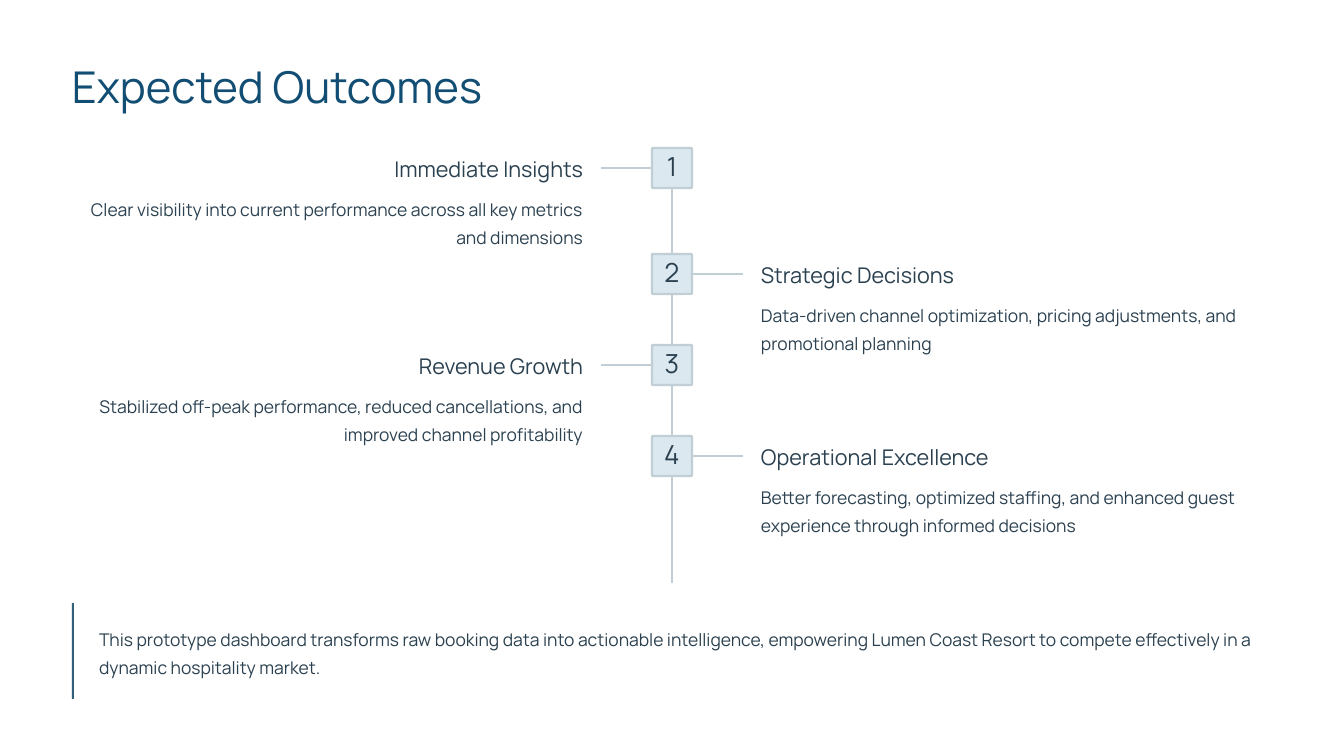
from lxml.etree import SubElement
from pptx import Presentation
from pptx.dml.color import RGBColor
from pptx.enum.shapes import MSO_CONNECTOR, MSO_SHAPE
from pptx.enum.text import MSO_ANCHOR, PP_ALIGN
from pptx.oxml.ns import qn
from pptx.util import Emu, Pt

PX_PER_INCH = 84
FONT = "Manrope"
INK, NAVY, RULE, TILE, ACCENT = "2B4150", "124E73", "C1CED6", "DBE8F0", "325F7B"
TILE_SIZE, BRANCH_LENGTH, TEXT_GAP = 40, 51, 18

OUTCOMES = [
    (148, "Immediate Insights",
     "Clear visibility into current performance across all key metrics and dimensions"),
    (254, "Strategic Decisions",
     "Data-driven channel optimization, pricing adjustments, and promotional planning"),
    (345, "Revenue Growth",
     "Stabilized off-peak performance, reduced cancellations, and improved channel profitability"),
    (436, "Operational Excellence",
     "Better forecasting, optimized staffing, and enhanced guest experience through informed decisions"),
]
SUMMARY = ("This prototype dashboard transforms raw booking data into actionable intelligence, "
           "empowering Lumen Coast Resort to compete effectively in a dynamic hospitality market.")


def px(length):
    return Emu(round(length * 914400 / PX_PER_INCH))


def colour(value):
    return RGBColor.from_string(value)


def write(holder, words, size, leading, ink=INK, align=PP_ALIGN.LEFT, anchor=MSO_ANCHOR.TOP):
    frame = holder.text_frame
    frame.margin_left = frame.margin_right = frame.margin_top = frame.margin_bottom = 0
    frame.word_wrap = True
    frame.vertical_anchor = anchor
    paragraph = frame.paragraphs[0]
    paragraph.text = words
    paragraph.alignment = align
    paragraph.line_spacing = Pt(leading)
    paragraph.font.name = FONT
    paragraph.font.size = Pt(size)
    paragraph.font.color.rgb = colour(ink)


def add_words(slide, box, words, size, leading, align=PP_ALIGN.LEFT):
    write(slide.shapes.add_textbox(*map(px, box)), words, size, leading, align=align)


def add_rule(slide, x1, y1, x2, y2):
    rule = slide.shapes.add_connector(MSO_CONNECTOR.STRAIGHT, px(x1), px(y1), px(x2), px(y2))
    rule.line.color.rgb = colour(RULE)
    rule.line.width = Pt(1.8)
    SubElement(rule._element.spPr, qn("a:effectLst"))


def add_tile(slide, left, top, number):
    tile = slide.shapes.add_shape(MSO_SHAPE.ROUNDED_RECTANGLE, px(left), px(top),
                                  px(TILE_SIZE), px(TILE_SIZE))
    tile.adjustments[0] = 0.02
    tile.shadow.inherit = False
    tile.fill.solid()
    tile.fill.fore_color.rgb = colour(TILE)
    tile.line.color.rgb = colour(RULE)
    tile.line.width = Pt(1.8)
    write(tile, str(number), 22.5, 22.5, align=PP_ALIGN.CENTER, anchor=MSO_ANCHOR.MIDDLE)
    tile.text_frame.margin_top = px(2)


def add_outcome(slide, left, width, top, number, heading, detail):
    centre = left + width / 2
    on_left = number % 2 == 1
    side = -1 if on_left else 1
    align = PP_ALIGN.RIGHT if on_left else PP_ALIGN.LEFT
    branch_start = centre + side * TILE_SIZE / 2
    branch_end = branch_start + side * BRANCH_LENGTH
    text_edge = branch_end + side * TEXT_GAP
    text_left = left if on_left else text_edge
    text_width = text_edge - left if on_left else left + width - text_edge
    middle = top + TILE_SIZE / 2

    add_rule(slide, branch_start, middle, branch_end, middle)
    add_tile(slide, centre - TILE_SIZE / 2, top, number)
    add_words(slide, (text_left, top + 6, text_width, 28), heading, 18.5, 23.5, align)
    add_words(slide, (text_left, top + 44, text_width, 56), detail, 15, 24, align)


def add_timeline(slide, left, top, width, height):
    centre = left + width / 2
    add_rule(slide, centre, top, centre, top + height)
    for number, (tile_top, heading, detail) in enumerate(OUTCOMES, 1):
        add_outcome(slide, left, width, tile_top, number, heading, detail)


def add_title(slide, left, top, width, height):
    title = slide.shapes.title
    title.left, title.top, title.width, title.height = map(px, (left, top, width, height))
    write(title, "Expected Outcomes", 37.5, 47, NAVY)


def add_summary(slide, left, top, width, height):
    bar = slide.shapes.add_shape(MSO_SHAPE.RECTANGLE, px(left), px(top), px(2), px(height))
    bar.shadow.inherit = False
    bar.fill.solid()
    bar.fill.fore_color.rgb = colour(ACCENT)
    bar.line.fill.background()
    add_words(slide, (left + 27, top + 19, width - 27, 56), SUMMARY, 15, 24)


def main():
    deck = Presentation()
    deck.slide_width, deck.slide_height = px(1344), px(756)
    slide = deck.slides.add_slide(deck.slide_layouts[5])
    add_title(slide, 72, 57, 1200, 55)
    add_timeline(slide, 72, 148, 1200, 435)
    add_summary(slide, 72, 603, 1200, 96)
    deck.save("out.pptx")


if __name__ == "__main__":
    main()
